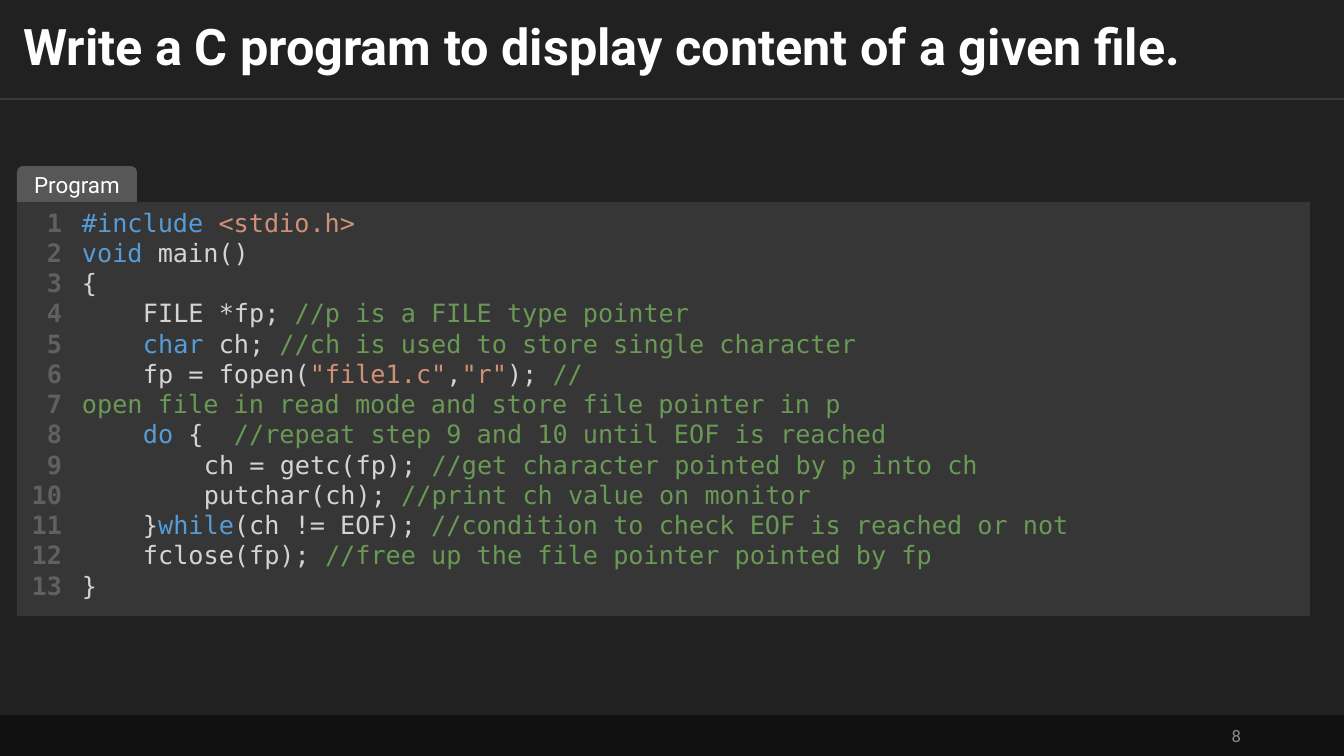
"""Build a slide showing a numbered C listing that displays the content of a file."""
import dataclasses
import typing

import lxml.etree
import pptx
import pptx.dml.color
import pptx.enum.shapes
import pptx.enum.text
import pptx.oxml.ns
import pptx.shapes.autoshape
import pptx.slide
import pptx.text.text
import pptx.util

Align = pptx.enum.text.PP_ALIGN
Anchor = pptx.enum.text.MSO_ANCHOR
Preset = pptx.enum.shapes.MSO_SHAPE
EMU_PER_PX = 914400 / 100.8


@dataclasses.dataclass(frozen=True)
class Theme:
    background: str = "212121"
    footer: str = "111111"
    panel: str = "363636"
    tab: str = "575757"
    line_number: str = "606060"
    white: str = "FFFFFF"
    page_number: str = "8D8D8D"
    plain: str = "D4D4D4"
    keyword: str = "569CD6"
    literal: str = "CE9178"
    comment: str = "6A9955"
    heading_font: str = "Roboto"
    code_font: str = "DejaVu Sans Mono"
    title_size: int = 36
    code_size: int = 18
    code_leading: float = 21.6
    tab_size: int = 16
    page_size: int = 12


THEME = Theme()


class Box(typing.NamedTuple):
    left: int
    top: int
    width: int
    height: int


class Span(typing.NamedTuple):
    text: str
    color: str


class CodeLine(typing.NamedTuple):
    depth: int
    spans: tuple[Span, ...]


@dataclasses.dataclass(frozen=True)
class Label:
    text: str
    size: int
    color: str
    align: Align
    inset: tuple[int, int]
    bold: bool = False
    leading: float = 1.0


SLIDE = Box(0, 0, 1344, 756)
RULE_Y = 99
INDENT = 61
CODE_INSET = (10, 5)
TITLE_BOX = Box(0, 0, 1344, 99)
PAGE_BOX = Box(949, 716, 302, 40)
CODE_PANEL = Box(72, 202, 1238, 414)
GUTTER = Box(17, 202, 55, 414)
TAB = Box(17, 166, 120, 36)
FOOTER = Box(0, 715, 1344, 41)

TITLE = Label("Write a C program to display content of a given file.",
              THEME.title_size, THEME.white, Align.LEFT, (23, 12), True, 0.9)
TAB_LABEL = Label("Program", THEME.tab_size, THEME.white, Align.CENTER, (10, 0))
PAGE_NUMBER = Label("8", THEME.page_size, THEME.page_number, Align.RIGHT, (10, 5))


def plain(text: str) -> Span:
    """Return ordinary code."""
    return Span(text, THEME.plain)


def keyword(text: str) -> Span:
    """Return a keyword."""
    return Span(text, THEME.keyword)


def literal(text: str) -> Span:
    """Return a string or header name."""
    return Span(text, THEME.literal)


def comment(text: str) -> Span:
    """Return a comment."""
    return Span(text, THEME.comment)


PROGRAM = (
    CodeLine(0, (keyword("#include "), literal("<stdio.h>"))),
    CodeLine(0, (keyword("void"), plain(" main()"))),
    CodeLine(0, (plain("{"),)),
    CodeLine(1, (plain("FILE *fp; "), comment("//p is a FILE type pointer"))),
    CodeLine(1, (keyword("char "), plain("ch; "),
                 comment("//ch is used to store single character"))),
    CodeLine(1, (plain("fp = fopen("), literal('"file1.c"'), plain(","), literal('"r"'),
                 plain("); "),
                 comment("//\nopen file in read mode and store file pointer in p"))),
    CodeLine(1, (keyword("do"), plain(" {  "),
                 comment("//repeat step 9 and 10 until EOF is reached"))),
    CodeLine(2, (plain("ch = getc(fp); "), comment("//get character pointed by p into ch"))),
    CodeLine(2, (plain("putchar(ch); "), comment("//print ch value on monitor"))),
    CodeLine(1, (plain("}"), keyword("while"), plain("(ch != EOF); "),
                 comment("//condition to check EOF is reached or not"))),
    CodeLine(1, (plain("fclose(fp); "), comment("//free up the file pointer pointed by fp"))),
    CodeLine(0, (plain("}"),)),
)
LINE_COUNT = 13


def px(length: int) -> pptx.util.Emu:
    """Convert px to EMU."""
    return pptx.util.Emu(round(length * EMU_PER_PX))


def rgb(color: str) -> pptx.dml.color.RGBColor:
    """Convert a hex colour."""
    return pptx.dml.color.RGBColor.from_string(color)


def add_panel(slide: pptx.slide.Slide, box: Box, color: str,
              preset: Preset = Preset.RECTANGLE) -> pptx.shapes.autoshape.Shape:
    """Draw a flat filled shape."""
    panel = slide.shapes.add_shape(preset, *map(px, box))
    panel.shadow.inherit = False
    panel.fill.solid()
    panel.fill.fore_color.rgb = rgb(color)
    panel.line.fill.background()
    return panel


def set_frame(frame: pptx.text.text.TextFrame, inset: tuple[int, int], anchor: Anchor) -> None:
    """Set wrapping, insets and anchor."""
    frame.word_wrap = True
    frame.vertical_anchor = anchor
    frame.margin_left = frame.margin_right = px(inset[0])
    frame.margin_top = frame.margin_bottom = px(inset[1])


def write_label(shape: pptx.shapes.autoshape.Shape, label: Label) -> None:
    """Write one single-paragraph label."""
    set_frame(shape.text_frame, label.inset, Anchor.MIDDLE)
    paragraph = shape.text_frame.paragraphs[0]
    paragraph.text = label.text
    paragraph.alignment, paragraph.line_spacing = label.align, label.leading
    font = paragraph.font
    font.name, font.size, font.bold = THEME.heading_font, pptx.util.Pt(label.size), label.bold
    font.color.rgb = rgb(label.color)


def write_code(panel: pptx.shapes.autoshape.Shape, lines: typing.Sequence[CodeLine],
               align: Align, bold: bool) -> None:
    """Write code lines in a monospaced column."""
    frame = panel.text_frame
    set_frame(frame, CODE_INSET, Anchor.TOP)
    for index, line in enumerate(lines):
        paragraph = frame.add_paragraph() if index else frame.paragraphs[0]
        paragraph.alignment = align
        paragraph.line_spacing = pptx.util.Pt(THEME.code_leading)
        font = paragraph.font
        font.name, font.size, font.bold = THEME.code_font, pptx.util.Pt(THEME.code_size), bold
        if line.depth:
            paragraph._p.get_or_add_pPr().set("indent", str(px(line.depth * INDENT)))
        for span in line.spans:
            for part, text in enumerate(span.text.split("\n")):
                if part:
                    paragraph.add_line_break()
                run = paragraph.add_run()
                run.text = text
                run.font.color.rgb = rgb(span.color)


def add_rule(slide: pptx.slide.Slide) -> None:
    """Draw the faint line under the title."""
    rule = slide.shapes.add_connector(pptx.enum.shapes.MSO_CONNECTOR.STRAIGHT,
                                      0, px(RULE_Y), px(SLIDE.width), px(RULE_Y))
    rule.line.width = pptx.util.Pt(0.5)
    rule.line.color.rgb = rgb(THEME.white)
    qn = pptx.oxml.ns.qn
    properties = rule._element.spPr
    lxml.etree.SubElement(next(properties.iter(qn("a:srgbClr"))), qn("a:alpha"), val="30000")
    lxml.etree.SubElement(properties, qn("a:effectLst"))


def main() -> None:
    """Build and save the slide."""
    deck = pptx.Presentation()
    deck.slide_width, deck.slide_height = px(SLIDE.width), px(SLIDE.height)
    slide = deck.slides.add_slide(deck.slide_layouts[6])
    slide.background.fill.solid()
    slide.background.fill.fore_color.rgb = rgb(THEME.background)
    add_rule(slide)
    add_panel(slide, FOOTER, THEME.footer)
    for box, label in ((PAGE_BOX, PAGE_NUMBER), (TITLE_BOX, TITLE)):
        write_label(slide.shapes.add_textbox(*map(px, box)), label)
    numbers = [CodeLine(0, (Span(str(n), THEME.line_number),)) for n in range(1, LINE_COUNT + 1)]
    write_code(add_panel(slide, CODE_PANEL, THEME.panel), PROGRAM, Align.LEFT, False)
    write_code(add_panel(slide, GUTTER, THEME.panel), numbers, Align.RIGHT, True)
    tab = add_panel(slide, TAB, THEME.tab, Preset.ROUND_2_SAME_RECTANGLE)
    tab.adjustments[0] = 0.17
    write_label(tab, TAB_LABEL)
    deck.save("out.pptx")


if __name__ == "__main__":
    main()
